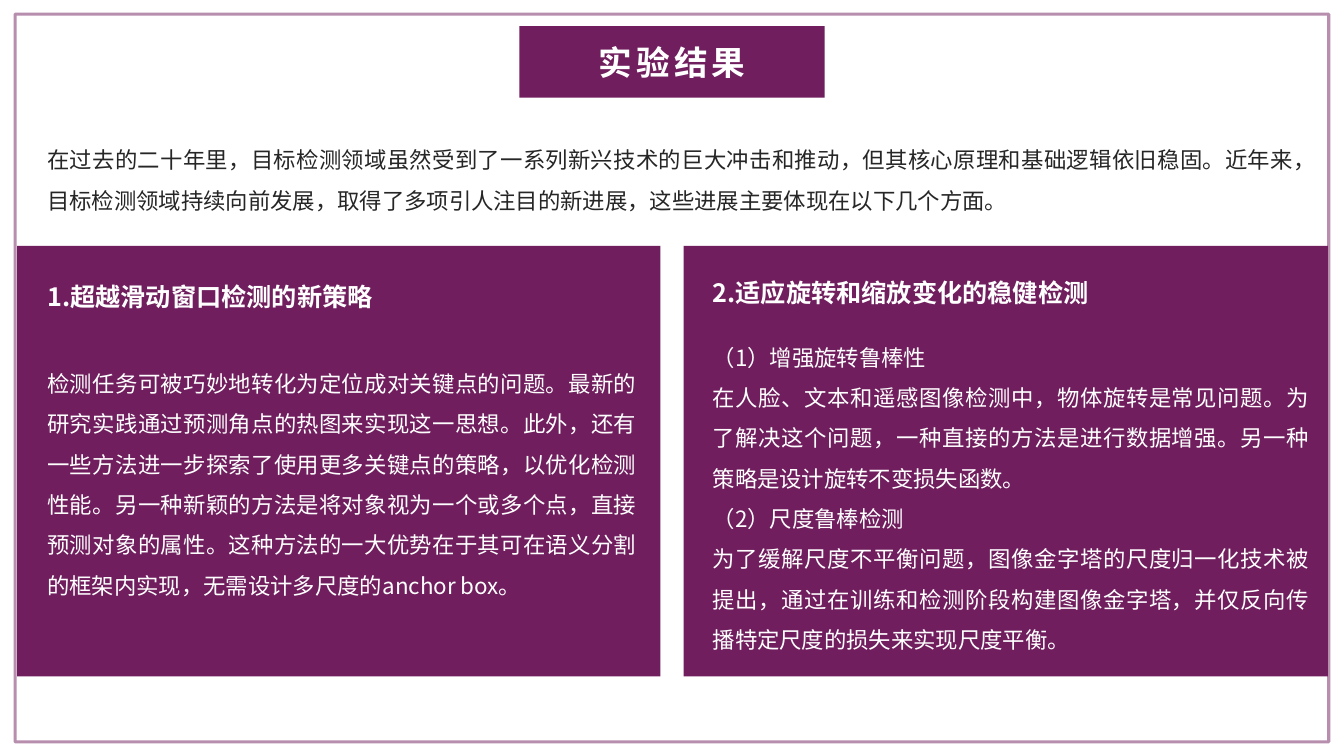
from lxml import etree
from pptx import Presentation
from pptx.dml.color import RGBColor
from pptx.enum.shapes import MSO_SHAPE
from pptx.enum.text import MSO_ANCHOR, MSO_AUTO_SIZE, PP_ALIGN
from pptx.oxml.ns import qn
from pptx.util import Inches, Pt

RECT = MSO_SHAPE.RECTANGLE
MIDDLE = MSO_ANCHOR.MIDDLE
FIXED, GROW = MSO_AUTO_SIZE.NONE, MSO_AUTO_SIZE.SHAPE_TO_FIT_TEXT
LEFT, CENTER, JUSTIFY = PP_ALIGN.LEFT, PP_ALIGN.CENTER, PP_ALIGN.JUSTIFY
FONT = "Noto Sans CJK SC"
COLORS = {"plum": "701E5E", "white": "FFFFFF", "ink": "262626"}

INTRO = "在过去的二十年里，目标检测领域虽然受到了一系列新兴技术的巨大冲击和推动，但其核心原理和基础逻辑依旧稳固。近年来，目标检测领域持续向前发展，取得了多项引人注目的新进展，这些进展主要体现在以下几个方面。"
PANELS = [
    {
        "panel": (0.17, 2.44, 6.38, 4.27),
        "head": (0.37, 2.74, 3.78, 0.4),
        "body": (0.37, 3.5, 6.05, 2.46),
        "title": "1.超越滑动窗口检测的新策略",
        "lines": [
            "检测任务可被巧妙地转化为定位成对关键点的问题。最新的研究实践通过预测角点的热图来实现这一思想。此外，还有一些方法进一步探索了使用更多关键点的策略，以优化检测性能。另一种新颖的方法是将对象视为一个或多个点，直接预测对象的属性。这种方法的一大优势在于其可在语义分割的框架内实现，无需设计多尺度的anchor box。",
        ],
    },
    {
        "panel": (6.78, 2.44, 6.39, 4.27),
        "head": (6.97, 2.7, 4.07, 0.4),
        "body": (6.97, 3.24, 6.12, 3.27),
        "title": "2.适应旋转和缩放变化的稳健检测",
        "lines": [
            "（1）增强旋转鲁棒性",
            "在人脸、文本和遥感图像检测中，物体旋转是常见问题。为了解决这个问题，一种直接的方法是进行数据增强。另一种策略是设计旋转不变损失函数。",
            "（2）尺度鲁棒检测",
            "为了缓解尺度不平衡问题，图像金字塔的尺度归一化技术被提出，通过在训练和检测阶段构建图像金字塔，并仅反向传播特定尺度的损失来实现尺度平衡。",
        ],
    },
]


class Deck:
    """Holds the style and the current slide, and draws each kind of element."""

    def __init__(self):
        self.prs = Presentation()
        self.prs.slide_width = Inches(13.33)
        self.prs.slide_height = Inches(7.5)
        self.slide = self.prs.slides.add_slide(self.prs.slide_layouts[5])

    def color(self, name):
        return RGBColor.from_string(COLORS[name])

    def paint(self, shape, name):
        shape.fill.solid()
        shape.fill.fore_color.rgb = self.color(name)

    def fill_text(self, frame, lines, size, color, align, bold=False, space=None):
        frame.word_wrap = True
        for i, line in enumerate(lines):
            para = frame.paragraphs[0] if i == 0 else frame.add_paragraph()
            para.alignment = align
            if space:
                para.line_spacing = space
            run = para.add_run()
            run.text = line
            font = run.font
            font.size, font.bold, font.name = Pt(size), bold, FONT
            font.color.rgb = self.color(color)
            etree.SubElement(run._r.rPr, qn("a:ea"), typeface=FONT)

    def title(self, text, box):
        pill = self.slide.shapes.title
        pill.left, pill.top, pill.width, pill.height = map(Inches, box)
        geom = etree.SubElement(pill._element.spPr, qn("a:prstGeom"), prst="roundRect")
        guides = etree.SubElement(geom, qn("a:avLst"))
        etree.SubElement(guides, qn("a:gd"), name="adj", fmla="val 50000")
        self.paint(pill, "plum")
        frame = pill.text_frame
        frame.auto_size, frame.vertical_anchor = FIXED, MIDDLE
        self.fill_text(frame, [text], 24, "white", CENTER, bold=True)
        frame.paragraphs[0].runs[0]._r.rPr.set("spc", "300")

    def rect(self, box):
        shape = self.slide.shapes.add_shape(RECT, *map(Inches, box))
        shape.shadow.inherit = False
        return shape

    def border(self, box):
        shape = self.rect(box)
        shape.fill.background()
        shape.line.width = Pt(2.25)
        shape.line.color.rgb = self.color("plum")
        tint = shape.line._ln.find(".//" + qn("a:srgbClr"))
        etree.SubElement(tint, qn("a:alpha"), val="50000")

    def panel(self, box):
        shape = self.rect(box)
        self.paint(shape, "plum")
        shape.line.fill.background()

    def text(self, box):
        frame = self.slide.shapes.add_textbox(*map(Inches, box)).text_frame
        frame.auto_size = GROW
        return frame

    def head(self, text, box):
        self.fill_text(self.text(box), [text], 18, "white", LEFT, bold=True)

    def body(self, lines, box, color="white"):
        frame = self.text(box)
        frame.margin_top = frame.margin_bottom = Inches(0.04)
        self.fill_text(frame, lines, 16, color, JUSTIFY, space=1.5)


def main():
    deck = Deck()
    deck.border((0.15, 0.14, 13.03, 7.22))
    deck.title("实验结果", (5.15, 0.26, 3.03, 0.71))
    deck.body([INTRO], (0.37, 1.28, 12.58, 0.84), "ink")
    for part in PANELS:
        deck.panel(part["panel"])
        deck.head(part["title"], part["head"])
        deck.body(part["lines"], part["body"])
    deck.prs.save("out.pptx")


if __name__ == "__main__":
    main()
